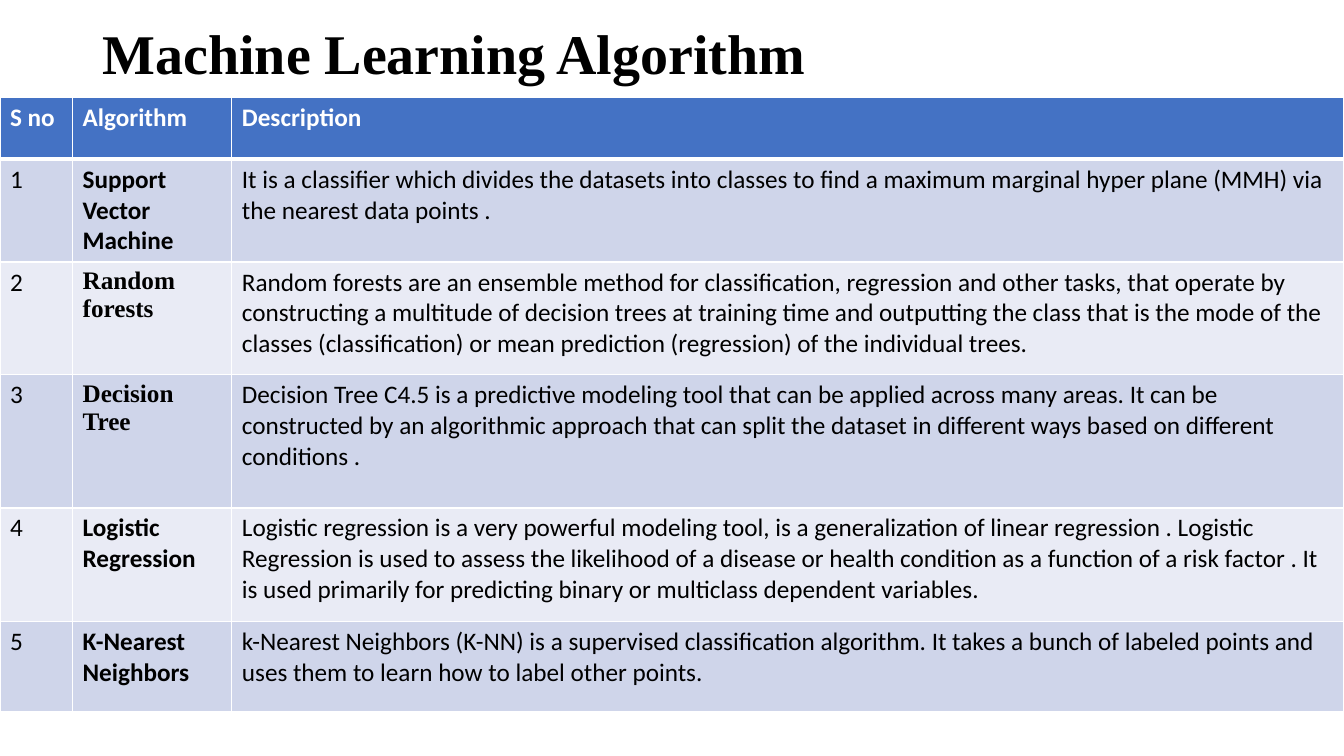
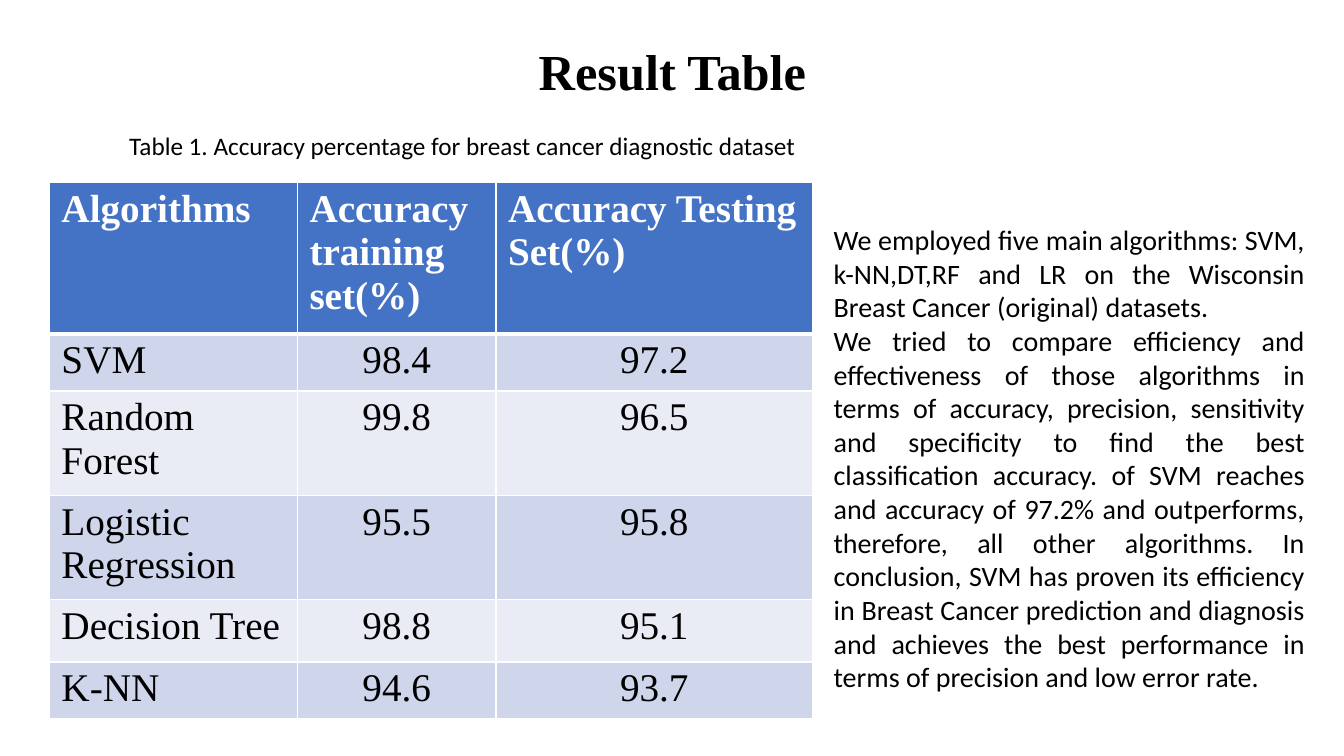
"""Builds two slides: the algorithms in use and their accuracy results."""
from lxml import etree
from pptx import Presentation
from pptx.dml.color import RGBColor
from pptx.enum import text
from pptx.oxml import ns
from pptx.util import Inches, Pt

SERIF, SANS = "Times New Roman", "Calibri"
BLACK, WHITE, HEADER = "000000", "FFFFFF", "4472C4"
BANDS = ("CFD5EA", "E9EBF5")
LEFT, CENTER, JUSTIFY = text.PP_ALIGN.LEFT, text.PP_ALIGN.CENTER, text.PP_ALIGN.JUSTIFY
MIDDLE, TOP = text.MSO_ANCHOR.MIDDLE, text.MSO_ANCHOR.TOP

ALGORITHMS = [
    ("S no", "Algorithm", "Description"),
    ("1", "Support Vector Machine",
     "It is a classifier which divides the datasets into classes to find a maximum marginal "
     "hyper plane (MMH) via the nearest data points ."),
    ("2", "Random forests",
     "Random forests are an ensemble method for classification, regression and other tasks, "
     "that operate by constructing a multitude of decision trees at training time and "
     "outputting the class that is the mode of the classes (classification) or mean "
     "prediction (regression) of the individual trees."),
    ("3", "Decision Tree",
     "Decision Tree C4.5 is a predictive modeling tool that can be applied across many areas. "
     "It can be constructed by an algorithmic approach that can split the dataset in "
     "different ways based on different conditions ."),
    ("4", "Logistic Regression",
     "Logistic regression is a very powerful modeling tool, is a generalization of linear "
     "regression . Logistic Regression is used to assess the likelihood of a disease or "
     "health condition as a function of a risk factor . It is used primarily for predicting "
     "binary or multiclass dependent variables."),
    ("5", "K-Nearest Neighbors",
     "k-Nearest Neighbors (K-NN) is a supervised classification algorithm. It takes a bunch "
     "of labeled points and uses them to learn how to label other points."),
]
SERIF_NAMES = ("Random forests", "Decision Tree")

RESULTS = [
    ("Algorithms", "Accuracy training set(%)", "Accuracy Testing Set(%)"),
    ("SVM", "98.4", "97.2"),
    ("Random Forest", "99.8", "96.5"),
    ("Logistic Regression", "95.5", "95.8"),
    ("Decision Tree", "98.8", "95.1"),
    ("K-NN", "94.6", "93.7"),
]
CAPTION = "Table 1. Accuracy percentage for breast cancer diagnostic dataset"
CONCLUSION = [
    "We employed five main algorithms: SVM, k-NN,DT,RF and LR on the Wisconsin Breast Cancer "
    "(original) datasets.",
    "We tried to compare efficiency and effectiveness of those algorithms in terms of "
    "accuracy, precision, sensitivity and specificity to find the best classification "
    "accuracy. of SVM reaches and accuracy of 97.2% and outperforms, therefore, all other "
    "algorithms. In conclusion, SVM has proven its efficiency in Breast Cancer prediction "
    "and diagnosis and achieves the best performance in terms of precision and low error "
    "rate.",
]


def rgb(value):
    return RGBColor.from_string(value)


def write(frame, lines, size, font=SANS, color=BLACK, bold=False, align=LEFT, spacing=None):
    for index, line in enumerate(lines):
        paragraph = frame.add_paragraph() if index else frame.paragraphs[0]
        paragraph.alignment, paragraph.line_spacing = align, spacing
        run = paragraph.add_run()
        run.text = line
        for name, value in {"size": Pt(size), "name": font, "bold": bold}.items():
            setattr(run.font, name, value)
        run.font.color.rgb = rgb(color)


def add_text(slide, box, lines, size, anchor=TOP, **style):
    frame = slide.shapes.add_textbox(*map(Inches, box)).text_frame
    frame.word_wrap, frame.vertical_anchor = True, anchor
    write(frame, lines, size, **style)


def add_title(slide, title, top, height, size, align=LEFT):
    add_text(slide, (0.92, top, 11.5, height), [title], size, MIDDLE,
             font=SERIF, bold=True, align=align, spacing=0.9)


def add_borders(cell, widths):
    properties = cell._tc.get_or_add_tcPr()
    for side, width in widths.items():
        line = etree.SubElement(properties, ns.qn(f"a:ln{side}"), w=str(Pt(width)))
        fill = etree.SubElement(line, ns.qn("a:solidFill"))
        etree.SubElement(fill, ns.qn("a:srgbClr"), val=WHITE)


def add_table(slide, left, top, widths, heights, rows, style_of, margin=0.1):
    box = map(Inches, (left, top, sum(widths), sum(heights)))
    table = slide.shapes.add_table(len(rows), len(widths), *box).table
    for column, width in zip(table.columns, widths):
        column.width = Inches(width)
    for r, (row, height, values) in enumerate(zip(table.rows, heights, rows)):
        row.height = Inches(height)
        for c, (cell, value) in enumerate(zip(row.cells, values)):
            cell.margin_left = cell.margin_right = Inches(margin)
            add_borders(cell, {"L": 1, "R": 1, "T": 3 if r == 1 else 1, "B": 1 if r else 3})
            cell.fill.solid()
            cell.fill.fore_color.rgb = rgb(BANDS[(r - 1) % 2] if r else HEADER)
            style = {"color": BLACK if r else WHITE, "bold": r == 0}
            write(cell.text_frame, [value], **{**style, **style_of(r, c, value)})


def algorithm_style(row, column, value):
    return {"size": 18, "bold": row == 0 or column == 1,
            "font": SERIF if column == 1 and value in SERIF_NAMES else SANS}


def result_style(row, column, value):
    return {"size": 28, "font": SERIF, "align": CENTER if row and column else LEFT}


def main():
    presentation = Presentation()
    presentation.slide_width, presentation.slide_height = Inches(13.33), Inches(7.5)
    blank = presentation.slide_layouts[6]

    slide = presentation.slides.add_slide(blank)
    add_title(slide, "Machine Learning Algorithm", 0.15, 0.82, 40)
    add_table(slide, 0, 0.97, (0.72, 1.58, 11.03), (0.61, 1.02, 1.12, 1.32, 1.13, 0.89),
              ALGORITHMS, algorithm_style)

    slide = presentation.slides.add_slide(blank)
    add_title(slide, "Result Table", 0.4, 0.67, 36, CENTER)
    add_table(slide, 0.49, 1.81, (2.46, 1.97, 3.14), (1.45, 0.55, 1, 1, 0.62, 0.55),
              RESULTS, result_style, margin=0.12)
    add_text(slide, (1, 1.24, 7.17, 0.4), [CAPTION], 18, align=CENTER)
    add_text(slide, (8.17, 2.16, 4.87, 4.81), CONCLUSION, 20, align=JUSTIFY)

    presentation.save("out.pptx")


if __name__ == "__main__":
    main()
